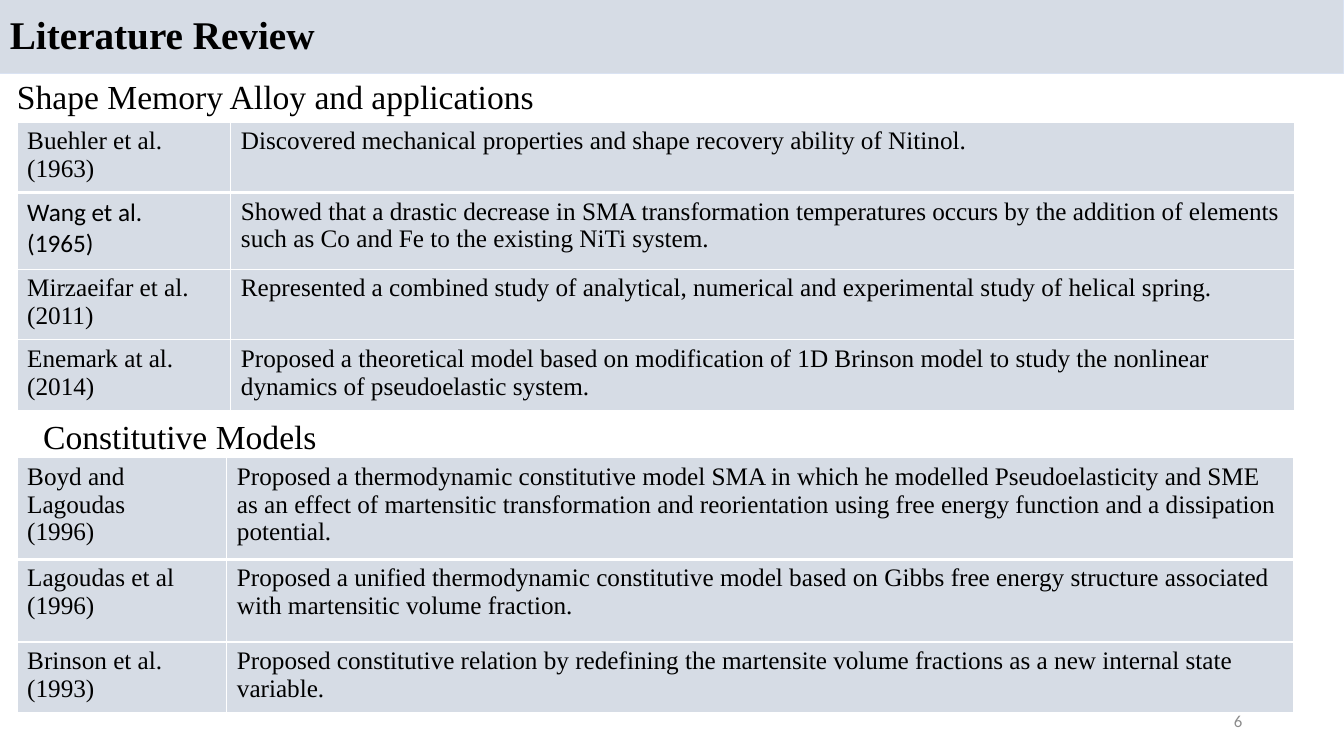
from lxml.etree import SubElement
from pptx import Presentation
from pptx.dml.color import RGBColor
from pptx.enum.shapes import MSO_SHAPE
from pptx.enum.text import MSO_ANCHOR, PP_ALIGN
from pptx.oxml.ns import qn
from pptx.util import Inches, Pt

COLORS = {"panel": "D6DCE5", "outline": "DAE3F3", "border": "FFFFFF",
          "text": "000000", "number": "8C8C8C"}
SERIF, SANS = "Times New Roman", "Calibri"


def write_text(text_frame, text, size, font=SERIF, color="text", bold=False):
    text_frame.text = text
    text_frame.word_wrap = True
    for paragraph in text_frame.paragraphs:
        for run in paragraph.runs:
            run.font.size = Pt(size)
            run.font.name = font
            run.font.bold = bold
            run.font.color.rgb = RGBColor.from_string(COLORS[color])


def add_border(cell, side, width):
    properties = cell._tc.get_or_add_tcPr()
    line = SubElement(properties, qn(f"a:ln{side}"), w=str(Pt(width)))
    fill = SubElement(line, qn("a:solidFill"))
    SubElement(fill, qn("a:srgbClr"), val=COLORS["border"])


presentation = Presentation()
presentation.slide_width = Inches(13.33)
presentation.slide_height = Inches(7.5)
slide = presentation.slides.add_slide(presentation.slide_layouts[6])

title = slide.shapes.add_shape(MSO_SHAPE.RECTANGLE, 0, 0, Inches(13.33), Inches(0.73))
title.shadow.inherit = False
title.fill.solid()
title.fill.fore_color.rgb = RGBColor.from_string(COLORS["panel"])
title.line.color.rgb = RGBColor.from_string(COLORS["outline"])
title.line.width = Pt(0.75)
write_text(title.text_frame, "Literature Review", 28, bold=True)
title.text_frame.vertical_anchor = MSO_ANCHOR.MIDDLE
title.text_frame.paragraphs[0].alignment = PP_ALIGN.LEFT
title.text_frame.paragraphs[0].line_spacing = 0.9

headings = [
    ("Shape Memory Alloy and applications", 0.07, 0.73, 6.13),
    ("Constitutive Models", 0.33, 4.1, 5.6),
]
for text, left, top, width in headings:
    heading = slide.shapes.add_textbox(Inches(left), Inches(top), Inches(width), Inches(0.48))
    write_text(heading.text_frame, text, 24)
    heading.text_frame.vertical_anchor = MSO_ANCHOR.BOTTOM
    heading.text_frame.paragraphs[0].line_spacing = 0.9
    heading.text_frame.paragraphs[0].space_before = Pt(10)

alloy_studies = [
    ("Buehler et al.\n(1963)",
     "Discovered mechanical properties and shape recovery ability of Nitinol."),
    ("Wang et al.\n(1965)",
     "Showed that a drastic decrease in SMA transformation temperatures occurs by the addition "
     "of elements such as Co and Fe to the existing NiTi system."),
    ("Mirzaeifar et al.\n(2011)",
     "Represented a combined study of analytical, numerical and experimental study of helical spring."),
    ("Enemark at al.\n(2014)",
     "Proposed a theoretical model based on modification of 1D Brinson model to study the "
     "nonlinear dynamics of pseudoelastic system."),
]
model_studies = [
    ("Boyd and Lagoudas\n(1996)",
     "Proposed a thermodynamic constitutive model SMA in which he modelled Pseudoelasticity and "
     "SME as an effect of martensitic transformation and reorientation using free energy function "
     "and a dissipation potential."),
    ("Lagoudas et al\n(1996)",
     "Proposed a unified thermodynamic constitutive model based on Gibbs free energy structure "
     "associated with martensitic volume fraction."),
    ("Brinson et al.\n(1993)",
     "Proposed constitutive relation by redefining the martensite volume fractions as a new "
     "internal state variable."),
]
tables = [
    (alloy_studies, 1.21, [2.12, 10.55], [0.62, 0.76, 0.62, 0.62]),
    (model_studies, 4.54, [2.08, 10.58], [1.01, 0.82, 0.67]),
]
for studies, top, widths, heights in tables:
    table = slide.shapes.add_table(
        len(studies), 2, Inches(0.17), Inches(top),
        Inches(sum(widths)), Inches(sum(heights))).table
    table.first_row = False
    table.horz_banding = False
    for column, width in zip(table.columns, widths):
        column.width = Inches(width)
    for row_index, (study, height) in enumerate(zip(studies, heights)):
        table.rows[row_index].height = Inches(height)
        for column_index, text in enumerate(study):
            cell = table.cell(row_index, column_index)
            font = SANS if text.startswith("Wang") else SERIF
            write_text(cell.text_frame, text, 18, font)
            add_border(cell, "L", 1)
            add_border(cell, "R", 1)
            add_border(cell, "T", 3 if row_index == 1 else 1)
            add_border(cell, "B", 3 if row_index == 0 else 1)
            cell.fill.solid()
            cell.fill.fore_color.rgb = RGBColor.from_string(COLORS["panel"])

page_number = slide.shapes.add_textbox(Inches(9.42), Inches(6.95), Inches(3), Inches(0.4))
write_text(page_number.text_frame, "6", 12, SANS, "number")
page_number.text_frame.vertical_anchor = MSO_ANCHOR.MIDDLE
page_number.text_frame.paragraphs[0].alignment = PP_ALIGN.RIGHT

presentation.save("out.pptx")
